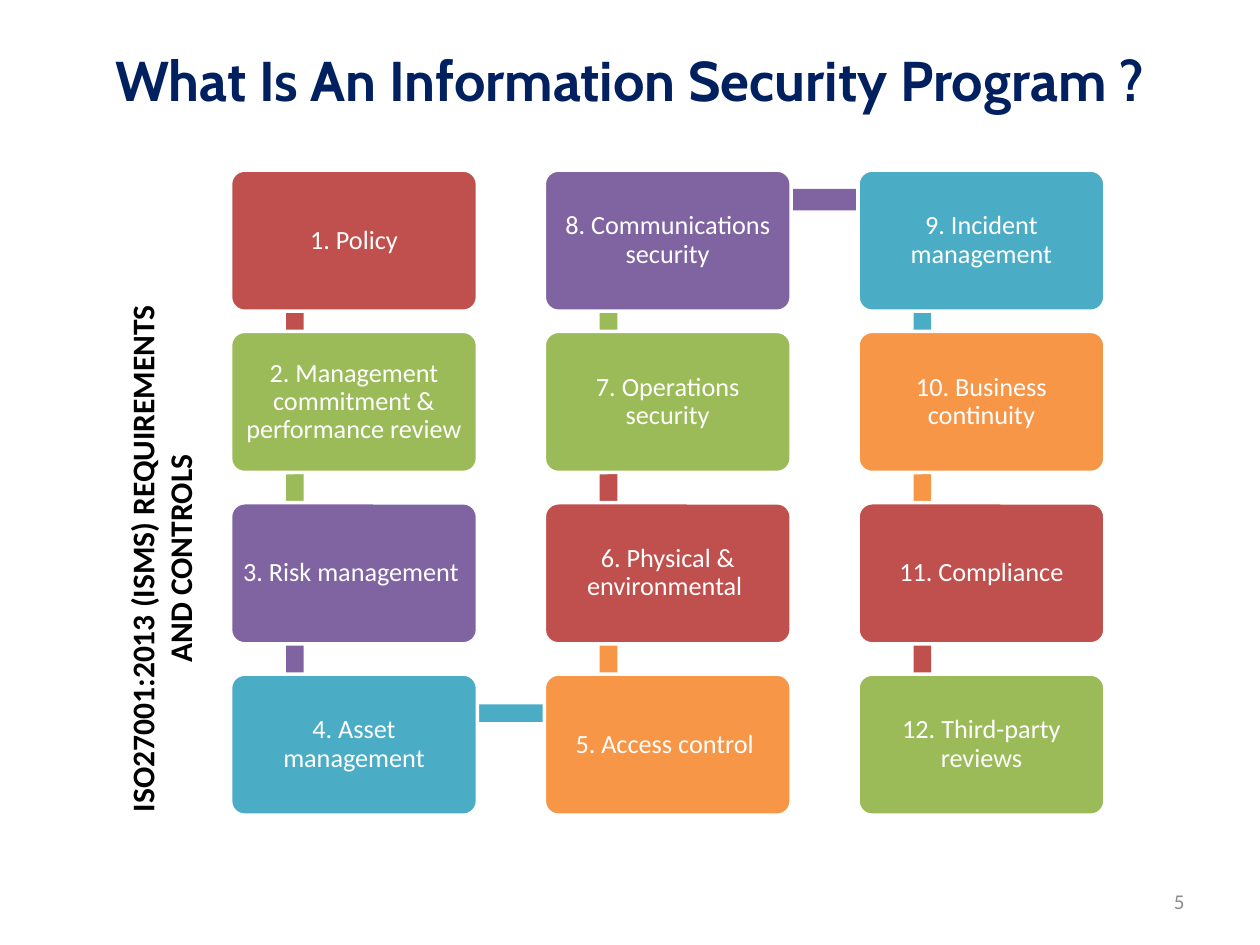
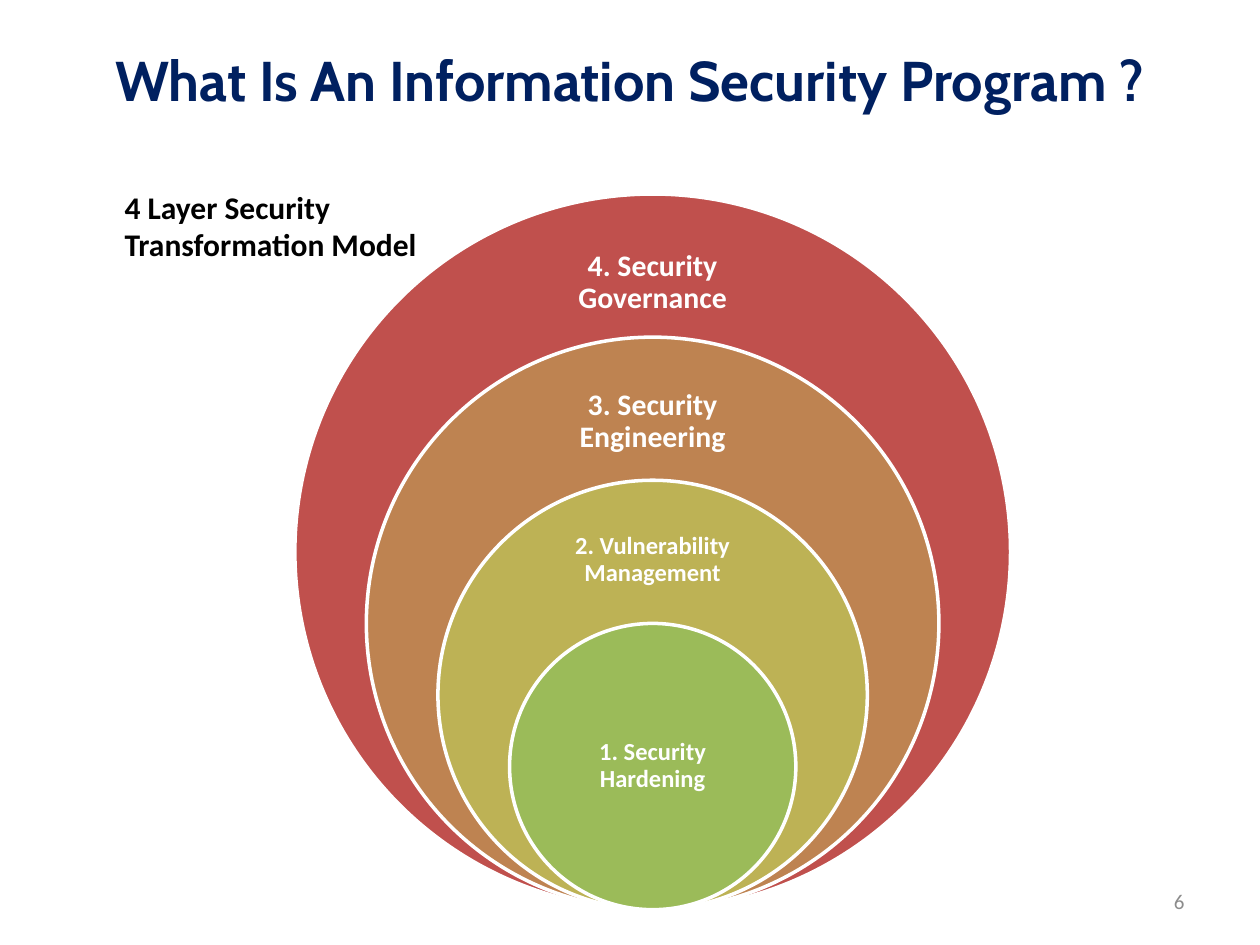
import pptx
import pptx.util
import pptx.dml.color
import pptx.enum.shapes
import pptx.enum.text

Inches = pptx.util.Inches
Shape = pptx.enum.shapes.MSO_SHAPE
Align = pptx.enum.text.PP_ALIGN
Anchor = pptx.enum.text.MSO_ANCHOR

# Shared style
TITLE = "What Is An Information Security Program ?"
NAVY, GREY, WHITE, BLACK = "002060", "8C8C8C", "FFFFFF", "000000"
RED, GREEN, PURPLE, BLUE, ORANGE = "C0504D", "9BBB59", "8064A2", "4BACC6", "F79646"

# Content: the twelve controls, in order along the path
CONTROLS = [
    ("1. Policy", RED),
    ("2. Management commitment & performance review", GREEN),
    ("3. Risk management ", PURPLE),
    ("4. Asset management", BLUE),
    ("5. Access control ", ORANGE),
    ("6. Physical & environmental ", RED),
    ("7. Operations security", GREEN),
    ("8. Communications security", PURPLE),
    ("9. Incident management", BLUE),
    ("10. Business continuity", ORANGE),
    ("11. Compliance", RED),
    ("12. Third-party reviews", GREEN),
]
CONTROLS_HEADING = ["ISO27001:2013 (ISMS) REQUIREMENTS ", "AND CONTROLS "]

# Content: layers from the outside in (text, colour, label top, label height, size, inset)
LAYERS = [
    ("4. Security Governance", RED, 1.82, 0.85, 17, 0.13),
    ("3. Security Engineering", "BE8351", 2.94, 0.82, 17, 0.13),
    ("2. Vulnerability Management", "BDB255", 4.06, 0.77, 14, 0.11),
    ("1. Security Hardening", GREEN, 5.51, 1.14, 14, 0.11),
]
LAYERS_HEADING = ["4 Layer Security", "Transformation Model"]

# Path layout
ROW_TOPS = [1.35, 2.63, 3.99, 5.35]
FIRST_LEFT, COLUMN_PITCH = 1.83, 2.49
BOX_WIDTH, BOX_HEIGHT = 1.96, 1.12
JOINT_X, JOINT_Y, BAR_THICKNESS = 0.51, 0.31, 0.14
WIDE_BAR_STEP, WIDE_BAR = 7, (4.57, 1.5, 3.06, 0.17)

# Circle layout
CIRCLE_CENTRE, CIRCLE_BOTTOM, OUTER_DIAMETER = 5.18, 7.22, 5.68
LABEL_WIDTH = 1.6


def colour(value):
    return pptx.dml.color.RGBColor.from_string(value)


def write(box, lines, size, ink, font="Calibri", bold=False, align=Align.CENTER,
          anchor=Anchor.MIDDLE, spacing=None, inset=None, wrap=True):
    frame = box.text_frame
    frame.word_wrap = wrap
    frame.vertical_anchor = anchor
    if inset is not None:
        frame.margin_left = frame.margin_right = Inches(inset)
        frame.margin_top = frame.margin_bottom = Inches(inset)
    for index, line in enumerate(lines):
        para = frame.paragraphs[0] if index == 0 else frame.add_paragraph()
        para.text = line
        para.alignment = align
        para.line_spacing = spacing
        para.font.name = font
        para.font.size = pptx.util.Pt(size)
        para.font.bold = bold
        para.font.color.rgb = colour(ink)


def add_text(page, place, lines, size, ink, **style):
    box = page.shapes.add_textbox(*map(Inches, place))
    write(box, lines, size, ink, **style)
    return box


def add_filled(page, kind, place, fill, outlined=True):
    shape = page.shapes.add_shape(kind, *map(Inches, place))
    shape.shadow.inherit = False
    shape.fill.solid()
    shape.fill.fore_color.rgb = colour(fill)
    if outlined:
        shape.line.color.rgb = colour(WHITE)
        shape.line.width = pptx.util.Pt(2)
    else:
        shape.line.fill.background()
    return shape


def add_page(deck, number):
    page = deck.slides.add_slide(deck.slide_layouts[6])
    add_text(page, (7.17, 6.95, 2.33, 0.4), [str(number)], 12, GREY, align=Align.RIGHT)
    add_text(page, (0.5, 0.14, 9, 0.98), [TITLE], 32, NAVY, font="Cabin", bold=True)
    return page


def box_corner(step):
    """The path runs down the first column, up the second, down the third."""
    column, row = divmod(step, len(ROW_TOPS))
    if column % 2:
        row = len(ROW_TOPS) - 1 - row
    return FIRST_LEFT + column * COLUMN_PITCH, ROW_TOPS[row]


def add_bar(page, step, fill):
    """Bar from the joint of one box to the joint of the next."""
    (left, top), (next_left, next_top) = box_corner(step), box_corner(step + 1)
    across, down = next_left - left, next_top - top
    length = max(across, abs(down)) - 0.01
    centre_x = left + across / 2 + JOINT_X
    centre_y = top + down / 2 + JOINT_Y
    place = (centre_x - length / 2, centre_y - BAR_THICKNESS / 2, length, BAR_THICKNESS)
    if step == WIDE_BAR_STEP:
        place = WIDE_BAR
    bar = add_filled(page, Shape.RECTANGLE, place, fill, outlined=False)
    if down:
        bar.rotation = 90 if down > 0 else 270


def build_controls(deck):
    page = add_page(deck, 5)
    for step, (text, fill) in enumerate(CONTROLS):
        if step < len(CONTROLS) - 1:
            add_bar(page, step, fill)
        place = (*box_corner(step), BOX_WIDTH, BOX_HEIGHT)
        box = add_filled(page, Shape.ROUNDED_RECTANGLE, place, fill)
        box.adjustments[0] = 0.1
        write(box, [text], 15, WHITE, spacing=0.9, inset=0.06)
    heading = add_text(page, (-1.34, 4.05, 5.24, 0.71), CONTROLS_HEADING, 18, BLACK,
                       bold=True, anchor=Anchor.TOP)
    heading.rotation = 270


def build_layers(deck):
    page = add_page(deck, 6)
    for index, (text, fill, top, height, size, inset) in enumerate(LAYERS):
        diameter = OUTER_DIAMETER * (1 - 0.2 * index)
        place = (CIRCLE_CENTRE - diameter / 2, CIRCLE_BOTTOM - diameter, diameter, diameter)
        add_filled(page, Shape.OVAL, place, fill)
        add_text(page, (CIRCLE_CENTRE - LABEL_WIDTH / 2, top, LABEL_WIDTH, height), [text],
                 size, WHITE, bold=True, spacing=0.9, inset=inset)
    add_text(page, (0.89, 1.44, 2.54, 0.71), LAYERS_HEADING, 18, BLACK, bold=True,
             align=Align.LEFT, anchor=Anchor.TOP, wrap=False)


def main():
    deck = pptx.Presentation()
    deck.slide_width, deck.slide_height = Inches(10), Inches(7.5)
    build_controls(deck)
    build_layers(deck)
    deck.save("out.pptx")


if __name__ == "__main__":
    main()
